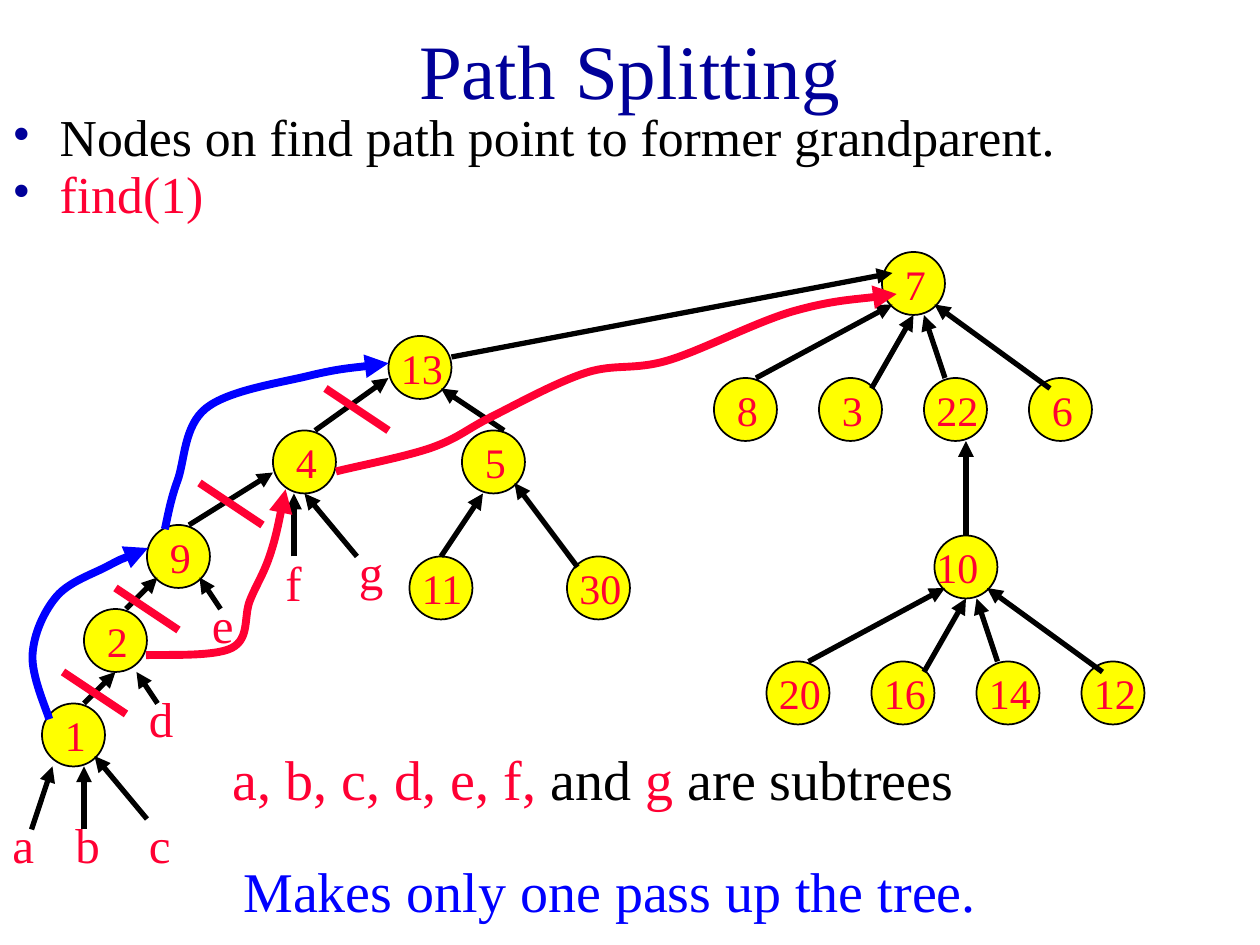
import dataclasses
import itertools

import lxml.etree
import pptx
import pptx.dml.color
import pptx.enum.shapes
import pptx.enum.text
import pptx.oxml.ns
import pptx.util

PX = 7620
NODE = 60
qn = pptx.oxml.ns.qn


@dataclasses.dataclass
class Theme:
    font: str = "Times New Roman"
    navy: str = "000099"
    red: str = "FF0033"
    blue: str = "0000FF"
    black: str = "000000"
    yellow: str = "FFFF00"
    title: float = 44
    body: float = 29.6
    node: float = 24
    subtree: float = 28
    note: float = 32
    outline: float = 1
    edge: float = 3
    accent: float = 4.5


@dataclasses.dataclass
class Node:
    left: int
    top: int
    parent: str = ""
    leaves_at: tuple = ()
    arrives_at: tuple = ()

    def point(self, offset):
        return self.left + offset[0], self.top + offset[1]


@dataclasses.dataclass
class Split:
    cut: tuple
    leaves_at: tuple
    bends: list
    arrives_at: tuple


TOP_LEFT, TOP, TOP_RIGHT = (20, 0), (30, 0), (40, 0)
LEFT_SHOULDER, RIGHT_SHOULDER = (10, 10), (50, 10)
LEFT_SIDE, LEFT_HIP, RIGHT_HIP = (0, 40), (10, 50), (50, 50)
BOTTOM_LEFT, BOTTOM, BOTTOM_RIGHT = (20, 60), (30, 60), (40, 60)

FAN_STEP = 100
FAN_SHIFT = (-160, 120)
FAN_ENDS = [(TOP_RIGHT, LEFT_HIP), (RIGHT_SHOULDER, BOTTOM),
            (TOP_LEFT, BOTTOM_RIGHT), ((20, 10), RIGHT_HIP)]
FANS = {"7": ["8", "3", "22", "6"], "10": ["20", "16", "14", "12"]}

NODES = {
    "7": Node(840, 240),
    "13": Node(370, 320, "7", (60, 20), (10, 20)),
    "4": Node(260, 410, "13", TOP_RIGHT, LEFT_SIDE),
    "5": Node(440, 410, "13", TOP_RIGHT, RIGHT_HIP),
    "11": Node(390, 530, "5", TOP, BOTTOM_LEFT),
    "30": Node(540, 530, "5", LEFT_SHOULDER, RIGHT_HIP),
    "9": Node(140, 500, "4", TOP_RIGHT, LEFT_SIDE),
    "2": Node(80, 580, "9", TOP_RIGHT, LEFT_HIP),
    "1": Node(40, 670, "2", TOP_RIGHT, BOTTOM),
    "10": Node(890, 510, "22", TOP, BOTTOM_RIGHT),
}

SUBTREES = {
    "a": Node(0, 770, "1", (30, 20), (10, 60)),
    "b": Node(60, 770, "1", (20, 20), BOTTOM_RIGHT),
    "c": Node(130, 770, "1", (10, 10), RIGHT_HIP),
    "d": Node(130, 650, "2", (20, 20), (50, 60)),
    "e": Node(190, 560, "9", (20, 20), RIGHT_HIP),
    "f": Node(260, 520, "4", (20, 10), BOTTOM_LEFT),
    "g": Node(330, 510, "4", (10, 20), BOTTOM),
}

SPLITS = {
    "1": Split((20, -30), (7, 15), [(31, 624), (54, 568), (103, 539)], (1, 22)),
    "2": Split((30, -20), (59, 44), [(221, 617), (238, 572), (257, 529)], (12, 56)),
    "9": Split((50, -40), (17, 4), [(169, 458), (196, 389), (294, 358)], (0, 26)),
    "4": Split((50, -40), (60, 39),
               [(412, 426), (468, 397), (558, 355), (637, 343), (757, 296)], (14, 40)),
}


def place_fans(nodes):
    for parent, labels in FANS.items():
        left, top = nodes[parent].point(FAN_SHIFT)
        for index, (label, ends) in enumerate(zip(labels, FAN_ENDS)):
            nodes[label] = Node(left + index * FAN_STEP, top, parent, *ends)


def smooth(points):
    padded = [points[0], *points, points[-1]]
    result = [points[0]]
    for before, start, end, after in zip(padded, padded[1:], padded[2:], padded[3:]):
        result.append(tuple(round(s + (e - b) / 6) for b, s, e in zip(before, start, end)))
        result.append(tuple(round(e - (a - s) / 6) for s, e, a in zip(start, end, after)))
        result.append(end)
    return result


class TreeSlide:
    def __init__(self, presentation, theme):
        self.theme = theme
        self.slide = presentation.slides.add_slide(presentation.slide_layouts[5])
        self.shapes = self.slide.shapes

    def color(self, value):
        return pptx.dml.color.RGBColor.from_string(value)

    def format_run(self, run, size, color):
        run.font.name = self.theme.font
        run.font.size = pptx.util.Pt(size)
        run.font.color.rgb = self.color(color)

    def style_line(self, shape, color, width, arrow=False):
        shape.line.color.rgb = self.color(color)
        shape.line.width = pptx.util.Pt(width)
        if arrow:
            tail = lxml.etree.SubElement(shape.line._get_or_add_ln(), qn("a:tailEnd"))
            tail.set("type", "triangle")

    def title(self, text, left, top, width, height):
        shape = self.shapes.title
        shape.left, shape.top = left * PX, top * PX
        shape.width, shape.height = width * PX, height * PX
        frame = shape.text_frame
        frame.text = text
        frame.vertical_anchor = pptx.enum.text.MSO_ANCHOR.MIDDLE
        frame.paragraphs[0].alignment = pptx.enum.text.PP_ALIGN.CENTER
        self.format_run(frame.paragraphs[0].runs[0], self.theme.title, self.theme.navy)

    def text_frame(self, left, top, width, height):
        box = self.shapes.add_textbox(left * PX, top * PX, width * PX, height * PX)
        box.text_frame.word_wrap = True
        return box.text_frame

    def text(self, parts, left, top, width, height, size):
        paragraph = self.text_frame(left, top, width, height).paragraphs[0]
        for words, color in parts:
            run = paragraph.add_run()
            run.text = words
            self.format_run(run, size, color)
        return paragraph

    def bullets(self, items, left, top, width, height):
        frame = self.text_frame(left, top, width, height)
        frame.text = "\n".join(words for words, color in items)
        for paragraph, (words, color) in zip(frame.paragraphs, items):
            paragraph.line_spacing = 0.7
            paragraph.space_before = pptx.util.Pt(8)
            self.format_run(paragraph.runs[0], self.theme.body, color)
            properties = paragraph._p.get_or_add_pPr()
            properties.set("marL", str(45 * PX))
            properties.set("indent", str(-45 * PX))
            bullet_color = lxml.etree.SubElement(properties, qn("a:buClr"))
            lxml.etree.SubElement(bullet_color, qn("a:srgbClr")).set("val", self.theme.navy)
            lxml.etree.SubElement(properties, qn("a:buFont")).set("typeface", self.theme.font)
            lxml.etree.SubElement(properties, qn("a:buChar")).set("char", "•")

    def node(self, label, node):
        circle = self.shapes.add_shape(
            pptx.enum.shapes.MSO_SHAPE.OVAL, node.left * PX, node.top * PX, NODE * PX, NODE * PX)
        circle.shadow.inherit = False
        circle.fill.solid()
        circle.fill.fore_color.rgb = self.color(self.theme.yellow)
        self.style_line(circle, self.theme.black, self.theme.outline)
        shift, width = (10, 40) if len(label) == 1 else (0, 90)
        if label == "10":
            shift = -10
        self.text([(label, self.theme.red)], node.left + shift, node.top,
                  width, NODE, self.theme.node)

    def line(self, start, end, color, width, arrow=False):
        connector = self.shapes.add_connector(
            pptx.enum.shapes.MSO_CONNECTOR.STRAIGHT,
            *(length * PX for length in (*start, *end)))
        self.style_line(connector, color, width, arrow)
        lxml.etree.SubElement(connector._element.spPr, qn("a:effectLst"))

    def edge(self, child, parent):
        self.line(child.point(child.leaves_at), parent.point(child.arrives_at),
                  self.theme.black, self.theme.edge, arrow=True)

    def curve(self, points, color):
        controls = smooth(points)
        builder = self.shapes.build_freeform(*controls[0], scale=PX)
        builder.add_line_segments(controls[1:], close=False)
        shape = builder.convert_to_shape()
        shape.shadow.inherit = False
        shape.fill.background()
        self.style_line(shape, color, self.theme.accent, arrow=True)
        outline = shape._element.spPr.find(".//" + qn("a:path"))
        segments = outline.findall(qn("a:lnTo"))
        for first in range(0, len(segments), 3):
            bezier = lxml.etree.SubElement(outline, qn("a:cubicBezTo"))
            for segment in segments[first:first + 3]:
                bezier.append(segment[0])
                outline.remove(segment)


def main():
    presentation = pptx.Presentation()
    presentation.slide_width, presentation.slide_height = 1200 * PX, 900 * PX
    theme = Theme()
    page = TreeSlide(presentation, theme)
    page.title("Path Splitting", 90, 20, 1020, 90)
    page.bullets([("Nodes on find path point to former grandparent.", theme.black),
                  ("find(1)", theme.red)], 0, 110, 1200, 110)
    place_fans(NODES)
    for label, node in NODES.items():
        page.node(label, node)
    for letter, subtree in SUBTREES.items():
        page.text([(letter, theme.red)], subtree.left, subtree.top, 70, 68, theme.subtree)
    for child in itertools.chain(NODES.values(), SUBTREES.values()):
        if child.parent:
            page.edge(child, NODES[child.parent])
    legend = page.text([("a, b, c, d, e, f,", theme.red), (" and ", theme.black),
                        ("g", theme.red), (" are subtrees", theme.black)],
                       210, 710, 820, 167, theme.note)
    legend.line_spacing = 0.9
    for label, split in SPLITS.items():
        left, top = NODES[label].point(split.cut)
        page.line((left, top), (left + 60, top + 40), theme.red, theme.accent)
    for (label, split), color in zip(SPLITS.items(), itertools.cycle([theme.blue, theme.red])):
        node = NODES[label]
        grandparent = NODES[NODES[node.parent].parent]
        page.curve([node.point(split.leaves_at), *split.bends,
                    grandparent.point(split.arrives_at)], color)
    page.text([("Makes only one pass up the tree.", theme.blue)], 220, 810, 900, 77, theme.note)
    presentation.save("out.pptx")


if __name__ == "__main__":
    main()
